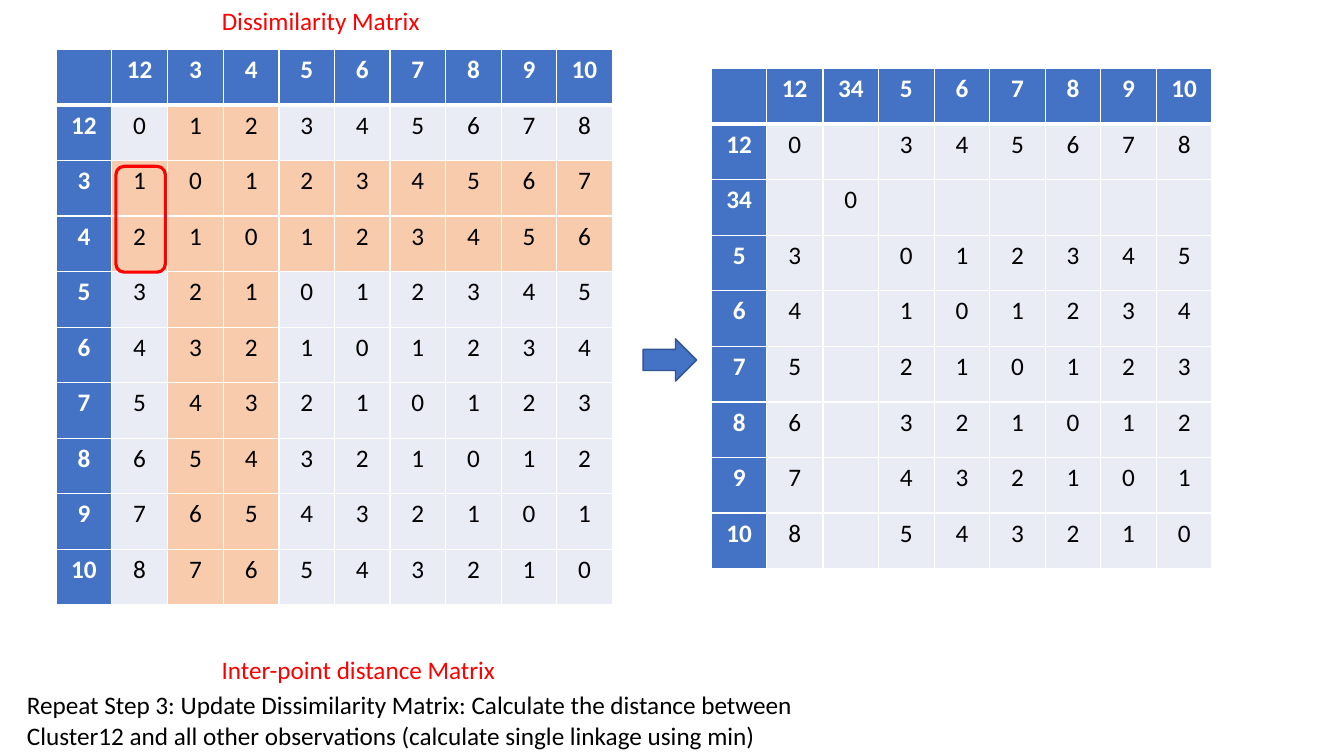
import pptx
import pptx.util
import pptx.dml.color
import pptx.enum.shapes
import pptx.enum.text
import pptx.oxml

Pt = pptx.util.Pt
Color = pptx.dml.color.RGBColor
Align = pptx.enum.text.PP_ALIGN
Shape = pptx.enum.shapes.MSO_SHAPE

BLUE = Color(0x44, 0x72, 0xC4)
NAVY = Color(0x32, 0x54, 0x91)
PALE = Color(0xE9, 0xEB, 0xF5)
PEACH = Color(0xF8, 0xCB, 0xAD)
RED = Color(0xFF, 0, 0)
BLACK = Color(0, 0, 0)
WHITE = Color(0xFF, 0xFF, 0xFF)
NS = "http://schemas.openxmlformats.org/drawingml/2006/main"


def write(frame, text, color, align=Align.LEFT, bold=False):
    frame.text = text
    para = frame.paragraphs[0]
    para.alignment = align
    for run in para.runs:
        font = run.font
        font.name, font.size, font.bold = "Calibri", Pt(18), bold
        font.color.rgb = color


def border(cell, side, width):
    line = pptx.oxml.parse_xml(
        f'<a:ln{side} xmlns:a="{NS}" w="{Pt(width)}"><a:solidFill>'
        f'<a:srgbClr val="{WHITE}"/></a:solidFill></a:ln{side}>')
    cell._tc.get_or_add_tcPr().append(line)


deck = pptx.Presentation()
deck.slide_width, deck.slide_height = Pt(960), Pt(540)
slide = deck.slides.add_slide(deck.slide_layouts[5])
shapes = slide.shapes

title = shapes.title
title.left, title.top, title.width, title.height = Pt(151.2), Pt(0), Pt(229), Pt(29)
step = shapes.add_textbox(Pt(12.2), Pt(489), Pt(628.6), Pt(51))
label = shapes.add_textbox(Pt(151.2), Pt(463.7), Pt(229), Pt(29))
texts = [
    (title, "Dissimilarity Matrix", RED),
    (step, "Repeat Step 3: Update Dissimilarity Matrix: Calculate the distance between "
     "Cluster12 and all other observations (calculate single linkage using min) ", BLACK),
    (label, "Inter-point distance Matrix", RED),
]
for box, text, color in texts:
    frame = box.text_frame
    frame.word_wrap = True
    frame.auto_size = pptx.enum.text.MSO_AUTO_SIZE.NONE
    frame.vertical_anchor = pptx.enum.text.MSO_ANCHOR.TOP
    write(frame, text, color)

side = 39.7
rest = ["5", "6", "7", "8", "9", "10"]
grids = [
    (40.5, 35.3, ["12", "3", "4"] + rest, ["3", "4"], []),
    (508.5, 49, ["12", "34"] + rest, [], ["34"]),
]
for left, top, names, marked, blank in grids:
    heads = [""] + names
    count = len(heads)
    size = Pt(side * count)
    table = shapes.add_table(count, count, Pt(left), Pt(top), size, size).table
    table.horz_banding = False
    table.first_col = True
    for band in list(table.columns):
        band.width = Pt(side)
    table.columns[0].width, table.columns[1].width = Pt(39), Pt(40.4)
    for band in table.rows:
        band.height = Pt(side)
    for r, row in enumerate(heads):
        for c, col in enumerate(heads):
            cell = table.cell(r, c)
            head = r == 0 or c == 0
            if head:
                text = row or col
            elif r == c:
                text = "0"
            elif row in blank or col in blank:
                text = ""
            else:
                spots = [2 if name == "12" else int(name) for name in (row, col)]
                text = str(abs(spots[0] - spots[1]))
            write(cell.text_frame, text, WHITE if head else BLACK, Align.CENTER, head)
            for edge in "LRTB":
                thick = (r, edge) in [(0, "B"), (1, "T")]
                border(cell, edge, 3 if thick else 1)
            cell.fill.solid()
            hot = row in marked or col in marked
            cell.fill.fore_color.rgb = BLUE if head else PEACH if hot else PALE

arrow = shapes.add_shape(Shape.RIGHT_ARROW, Pt(459.4), Pt(242), Pt(38.2), Pt(30.2))
arrow.fill.solid()
arrow.fill.fore_color.rgb = BLUE
ring = shapes.add_shape(Shape.ROUNDED_RECTANGLE, Pt(82.8), Pt(118.8), Pt(35.3), Pt(75.6))
ring.fill.background()
for shape, color, width in [(arrow, NAVY, 1), (ring, RED, 2.25)]:
    shape.shadow.inherit = False
    shape.line.color.rgb = color
    shape.line.width = Pt(width)

deck.save("out.pptx")
